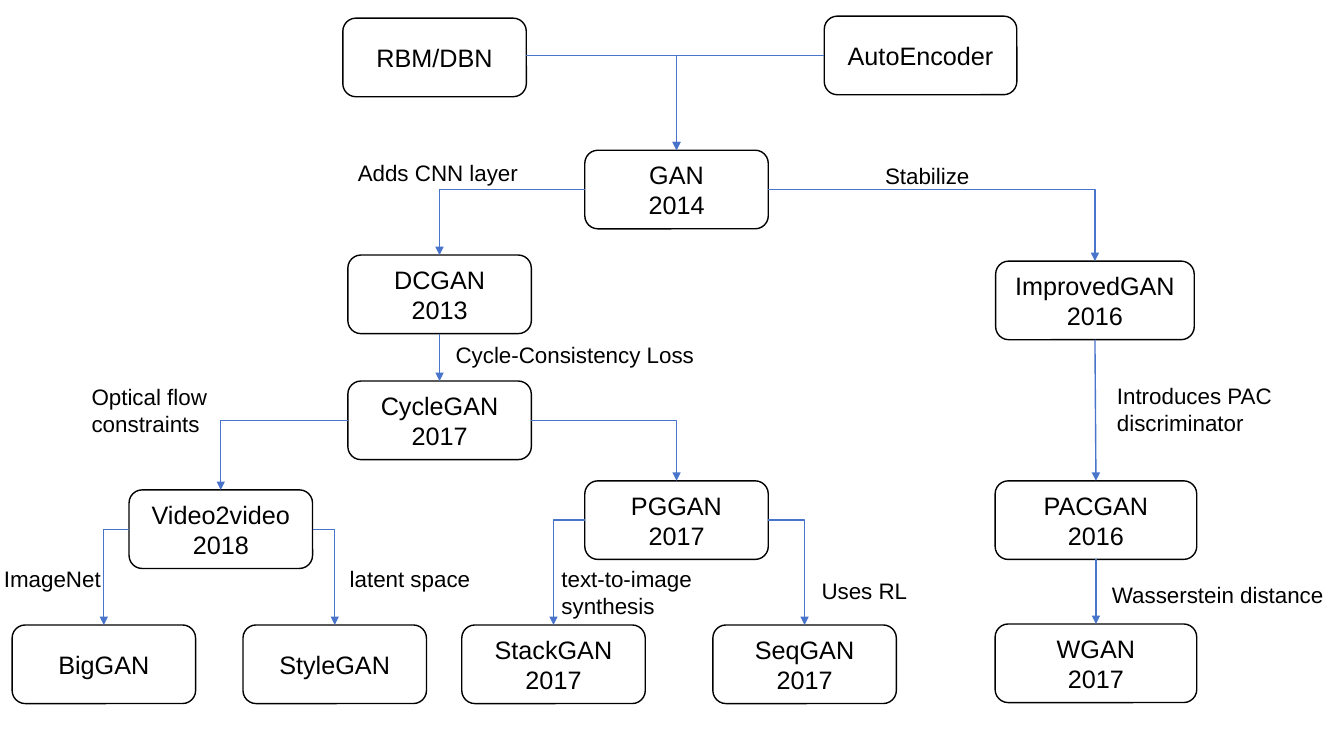
from dataclasses import dataclass

from lxml import etree
from pptx import Presentation
from pptx.dml.color import RGBColor
from pptx.enum import shapes, text
from pptx.oxml import ns
from pptx.util import Inches, Pt


@dataclass(frozen=True)
class Theme:
    font: str = "Arial"
    ink: RGBColor = RGBColor(0x00, 0x00, 0x00)
    paper: RGBColor = RGBColor(0xFF, 0xFF, 0xFF)
    link: RGBColor = RGBColor(0x48, 0x74, 0xCB)
    model_size: int = 18
    label_size: int = 16
    line_width: int = 1


THEME = Theme()
SLIDE_BOX = (0, 0, 13.33, 7.5)
MODEL_WIDTH, MODEL_HEIGHT = 1.82, 0.78
TOP, LEFT, BOTTOM, RIGHT = range(4)  # connection sites of a model box

# Columns (centres) and rows (tops) shared by several models
CYCLE_COL, GAN_COL, PAC_COL = 4.36, 6.71, 10.87
PG_ROW, LEAF_ROW = 4.77, 6.2

# Name, year, centre, top, width
MODELS = [
    ("RBM/DBN", "", 4.31, 0.18, MODEL_WIDTH),
    ("AutoEncoder", "", 9.13, 0.16, 1.91),
    ("GAN", "2014", GAN_COL, 1.49, MODEL_WIDTH),
    ("DCGAN", "2013", CYCLE_COL, 2.53, MODEL_WIDTH),
    ("ImprovedGAN", "2016", 10.86, 2.59, 1.97),
    ("CycleGAN", "2017", CYCLE_COL, 3.78, MODEL_WIDTH),
    ("Video2video", "2018", 2.19, 4.86, MODEL_WIDTH),
    ("PGGAN", "2017", GAN_COL, PG_ROW, MODEL_WIDTH),
    ("PACGAN", "2016", PAC_COL, PG_ROW, 2),
    ("BigGAN", "", 1.03, LEAF_ROW, MODEL_WIDTH),
    ("StyleGAN", "", 3.32, LEAF_ROW, MODEL_WIDTH),
    ("StackGAN", "2017", 5.49, LEAF_ROW, MODEL_WIDTH),
    ("SeqGAN", "2017", 7.98, LEAF_ROW, MODEL_WIDTH),
    ("WGAN", "2017", PAC_COL, 6.19, 2),
]

# Parent, side it leaves from, child (always entered at the top)
LINKS = [
    ("AutoEncoder", LEFT, "GAN"),
    ("GAN", LEFT, "DCGAN"),
    ("GAN", RIGHT, "ImprovedGAN"),
    ("DCGAN", BOTTOM, "CycleGAN"),
    ("CycleGAN", LEFT, "Video2video"),
    ("CycleGAN", RIGHT, "PGGAN"),
    ("Video2video", LEFT, "BigGAN"),
    ("Video2video", RIGHT, "StyleGAN"),
    ("PGGAN", LEFT, "StackGAN"),
    ("PGGAN", RIGHT, "SeqGAN"),
    ("ImprovedGAN", BOTTOM, "PACGAN"),
    ("PACGAN", BOTTOM, "WGAN"),
]

# Lines, left, top, width, height
LABELS = [
    (["Adds CNN layer"], 3.45, 1.53, 1.82, 0.37),
    (["Stabilize"], 8.68, 1.56, 1.24, 0.37),
    (["Cycle-Consistency Loss"], 4.42, 3.34, 2.61, 0.37),
    (["Optical flow constraints"], 0.81, 3.75, 2.01, 0.64),
    (["Introduces PAC", "discriminator"], 10.98, 3.74, 1.9, 0.64),
    (["ImageNet"], -0.06, 5.56, 1.18, 0.37),
    (["latent space"], 3.37, 5.56, 1.48, 0.37),
    (["text-to-image", "synthesis"], 5.47, 5.56, 1.56, 0.64),
    (["Uses RL"], 8.05, 5.68, 1.24, 0.37),
    (["Wasserstein distance"], 10.93, 5.72, 2.4, 0.37),
]


def write_lines(frame, lines, size, align):
    frame.word_wrap = True
    for index, line in enumerate(lines):
        paragraph = frame.paragraphs[0] if index == 0 else frame.add_paragraph()
        paragraph.alignment = align
        run = paragraph.add_run()
        run.text = line
        run.font.name = THEME.font
        run.font.size = Pt(size)
        run.font.color.rgb = THEME.ink


def draw_models(slide, box):
    """Rounded boxes, returned by model name."""
    left, top = box[:2]
    models = {}
    for name, year, centre, row, width in MODELS:
        model = slide.shapes.add_shape(
            shapes.MSO_SHAPE.ROUNDED_RECTANGLE,
            Inches(left + centre - width / 2), Inches(top + row),
            Inches(width), Inches(MODEL_HEIGHT))
        model.shadow.inherit = False
        model.fill.solid()
        model.fill.fore_color.rgb = THEME.paper
        model.line.color.rgb = THEME.ink
        model.line.width = Pt(THEME.line_width)
        model.text_frame.vertical_anchor = text.MSO_ANCHOR.MIDDLE
        lines = [name, year] if year else [name]
        write_lines(model.text_frame, lines, THEME.model_size, text.PP_ALIGN.CENTER)
        models[name] = model
    return models


def draw_labels(slide, box):
    """Captions beside the arrows."""
    left, top = box[:2]
    for lines, x, y, width, height in LABELS:
        label = slide.shapes.add_textbox(
            Inches(left + x), Inches(top + y), Inches(width), Inches(height))
        write_lines(label.text_frame, lines, THEME.label_size, text.PP_ALIGN.LEFT)
        label.text_frame.auto_size = text.MSO_AUTO_SIZE.SHAPE_TO_FIT_TEXT


def add_arrow(slide, start, end, bent):
    kind = shapes.MSO_CONNECTOR.ELBOW if bent else shapes.MSO_CONNECTOR.STRAIGHT
    arrow = slide.shapes.add_connector(kind, *start, *end)
    arrow.line.color.rgb = THEME.link
    arrow.line.width = Pt(THEME.line_width)
    properties = arrow._element.spPr
    if bent:  # a single corner: across, then down
        properties.find(ns.qn("a:prstGeom")).set("prst", "bentConnector2")
    etree.SubElement(properties.find(ns.qn("a:ln")), ns.qn("a:tailEnd"), type="triangle")
    etree.SubElement(properties, ns.qn("a:effectLst"))
    return arrow


def site_point(model, site):
    middle = model.left + model.width // 2, model.top + model.height // 2
    return {
        TOP: (middle[0], model.top),
        LEFT: (model.left, middle[1]),
        BOTTOM: (middle[0], model.top + model.height),
        RIGHT: (model.left + model.width, middle[1]),
    }[site]


def draw_links(slide, models):
    """Arrows from each model to those that follow it."""
    for parent, side, child in LINKS:
        start = site_point(models[parent], side)
        end = site_point(models[child], TOP)
        arrow = add_arrow(slide, start, end, side != BOTTOM)
        arrow.begin_connect(models[parent], side)
        arrow.end_connect(models[child], TOP)

    # RBM/DBN joins GAN at the height of the AutoEncoder arrow
    rbm_edge = site_point(models["RBM/DBN"], RIGHT)[0]
    shared_height = site_point(models["AutoEncoder"], LEFT)[1]
    add_arrow(slide, (rbm_edge, shared_height), site_point(models["GAN"], TOP), True)


def draw_family_tree(slide, box):
    models = draw_models(slide, box)
    draw_labels(slide, box)
    draw_links(slide, models)


def main():
    deck = Presentation()
    deck.slide_width, deck.slide_height = Inches(SLIDE_BOX[2]), Inches(SLIDE_BOX[3])
    slide = deck.slides.add_slide(deck.slide_layouts[6])
    draw_family_tree(slide, SLIDE_BOX)
    deck.save("out.pptx")


if __name__ == "__main__":
    main()
